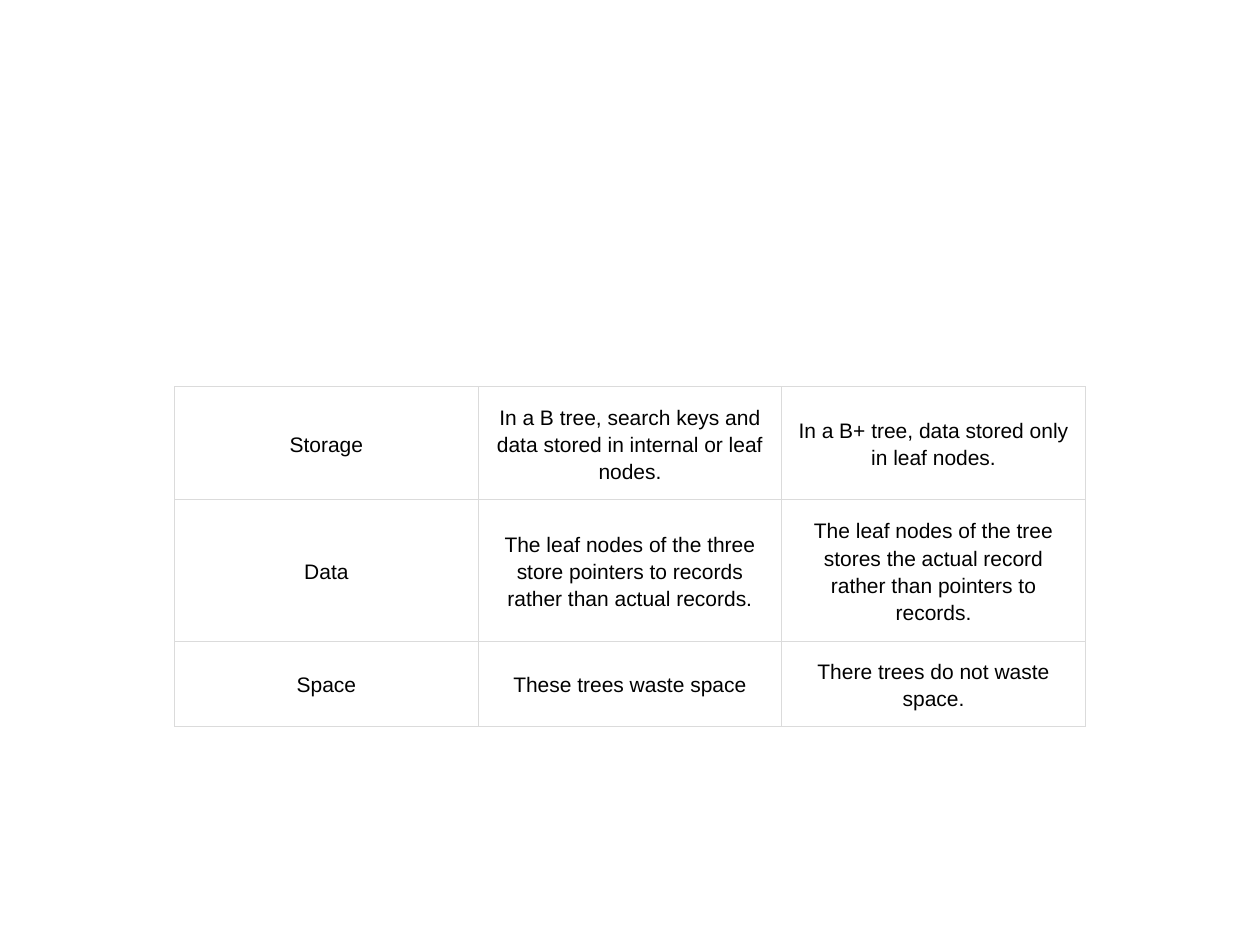
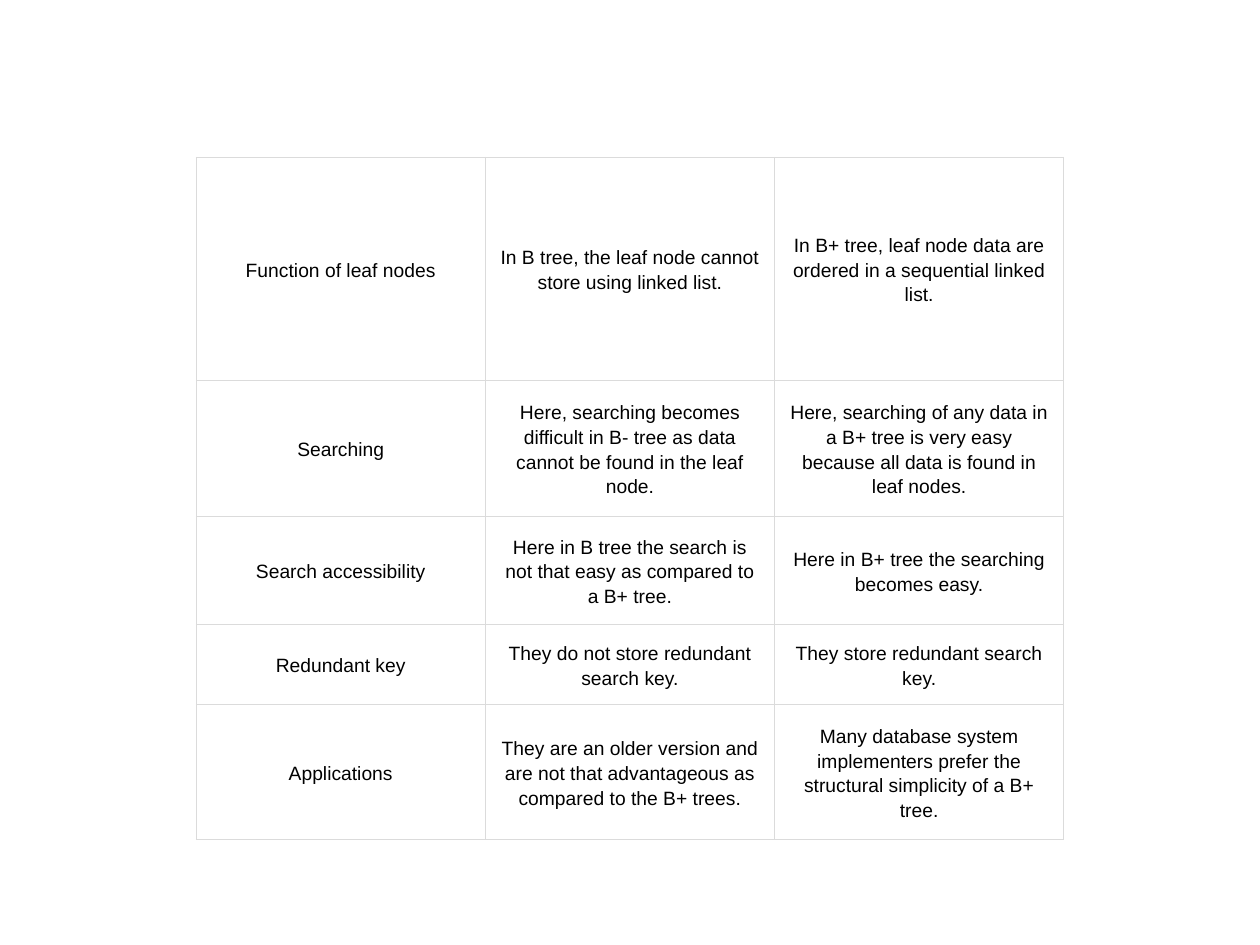
from lxml import etree
from pptx import Presentation
from pptx.dml.color import RGBColor
from pptx.enum.text import MSO_ANCHOR as ANCHOR, PP_ALIGN as ALIGN
from pptx.oxml.ns import qn
from pptx.util import Cm, Pt

WHITE = RGBColor(0xFF, 0xFF, 0xFF)
BLACK = RGBColor(0x00, 0x00, 0x00)
GRID = RGBColor(0xDB, 0xDB, 0xDB)
FONT = "Arial"
BORDER = Pt(0.45)

STORAGE_ROWS = [
    ("Storage",
     "In a B tree, search keys and data stored in internal or leaf nodes.",
     "In a B+ tree, data stored only in leaf nodes."),
    ("Data",
     "The leaf nodes of the three store pointers to records rather than actual records.",
     "The leaf nodes of the tree stores the actual record rather than pointers to records."),
    ("Space",
     "These trees waste space",
     "There trees do not waste space."),
]

SEARCH_ROWS = [
    ("Function of leaf nodes",
     "In B tree, the leaf node cannot store using linked list.",
     "In B+ tree, leaf node data are ordered in a sequential linked list."),
    ("Searching",
     "Here, searching becomes difficult in B- tree as data cannot be found in the leaf node.",
     "Here, searching of any data in a B+ tree is very easy because all data is found in "
     "leaf nodes."),
    ("Search accessibility",
     "Here in B tree the search is not that easy as compared to a B+ tree.",
     "Here in B+ tree the searching becomes easy."),
    ("Redundant key",
     "They do not store redundant search key.",
     "They store redundant search key."),
    ("Applications",
     "They are an older version and are not that advantageous as compared to the B+ trees.",
     "Many database system implementers prefer the structural simplicity of a B+ tree."),
]


def add_borders(cell):
    """Draw a thin grey line on all four sides of a cell."""
    tc_pr = cell._tc.get_or_add_tcPr()
    for side in ("lnL", "lnR", "lnT", "lnB"):
        ln = etree.SubElement(tc_pr, qn(f"a:{side}"), w=str(BORDER))
        fill = etree.SubElement(ln, qn("a:solidFill"))
        etree.SubElement(fill, qn("a:srgbClr"), val=str(GRID))


def fill_cell(cell, text, size):
    """Write centred text in a white bordered cell."""
    add_borders(cell)
    cell.fill.solid()
    cell.fill.fore_color.rgb = WHITE
    cell.vertical_anchor = ANCHOR.MIDDLE
    cell.text_frame.text = text
    p = cell.text_frame.paragraphs[0]
    p.alignment = ALIGN.CENTER
    p.line_spacing = 1.15
    p.space_after = Pt(13.5)
    font = p.runs[0].font
    font.name = FONT
    font.size = Pt(size)
    font.color.rgb = BLACK


def add_comparison(prs, rows, top, col_width, heights, size):
    """Add a slide with a horizontally centred comparison table."""
    s = prs.slides.add_slide(prs.slide_layouts[6])
    cols = len(rows[0])
    width = Cm(col_width * cols)
    left = (prs.slide_width - width) // 2
    table = s.shapes.add_table(len(rows), cols, left, Cm(top),
                               width, Cm(sum(heights))).table
    table.first_row = False
    table.horz_banding = False
    for column in table.columns:
        column.width = Cm(col_width)
    for i, (texts, height) in enumerate(zip(rows, heights)):
        table.rows[i].height = Cm(height)
        for j, text in enumerate(texts):
            fill_cell(table.cell(i, j), text, size)


def main():
    """Build the two comparison slides."""
    prs = Presentation()
    prs.slide_width, prs.slide_height = Cm(25.4), Cm(19.05)
    add_comparison(prs, STORAGE_ROWS, 7.79, 6.12, [2.28, 2.86, 1.71], 12)
    add_comparison(prs, SEARCH_ROWS, 3.17, 5.83, [4.5, 2.74, 2.18, 1.61, 2.73], 11)
    prs.save("out.pptx")


if __name__ == "__main__":
    main()
